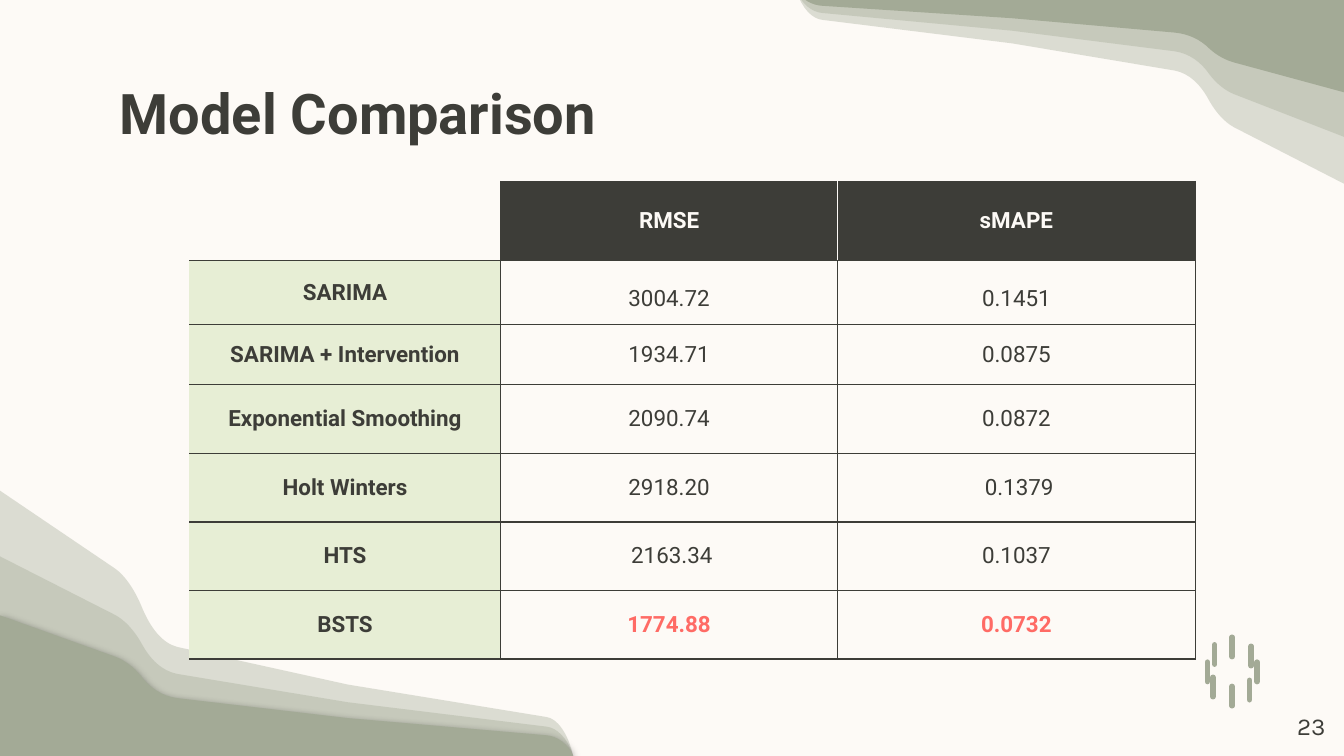
from dataclasses import dataclass
from lxml.etree import SubElement
from pptx import Presentation
from pptx.dml.color import RGBColor
from pptx.enum.shapes import MSO_CONNECTOR
from pptx.enum.text import MSO_ANCHOR, PP_ALIGN
from pptx.oxml.ns import qn
from pptx.util import Inches, Pt

DARK, CREAM, SAGE, MINT, CORAL = "3D3D38", "FDFAF6", "A3AA96", "E7EED5", "FF6B65"
WIDTH, HEIGHT = Inches(10), Inches(5.625)
NO_STYLE = "{2D5ABB26-0587-4C30-8999-92F81FD0307C}"


@dataclass
class Wave:
    edge: float
    width: float
    base: float
    height: float
    alpha: int = 100
    shadow: bool = False


@dataclass
class Dash:
    x: float
    top: float


PROFILE_START = (0, 100)
PROFILE = [
    [(20.1, 70.6)],
    [(21.8, 68), (23.4, 62.9), (24.6, 56.9)],
    [(26.2, 48.2), (28.3, 42.6), (30.9, 41.1)],
    [(60.7, 26.9)],
    [(95.3, 14.7)],
    [(97.2, 14.2), (99.1, 8.6), (100, 0)],
    [(0, 0)],
]
WAVES = [
    Wave(0, 42.65, 100, 35.1, alpha=37),
    Wave(0, 42.65, 100, 26.4, alpha=37),
    Wave(0, 42.65, 100, 18.6, shadow=True),
    Wave(100, -40.7, -1.1, -25.4, alpha=37),
    Wave(100, -40.7, -1.1, -19.2, alpha=37),
    Wave(100, -40.7, -1.2, -13.4),
]
DASH_LENGTH = 2.56
DASHES = [
    Dash(91.67, 84.3), Dash(91.67, 90.8), Dash(93.54, 87.6), Dash(89.84, 87.6),
    Dash(90.25, 89.6), Dash(93.1, 85.5), Dash(90.38, 85.3), Dash(92.97, 90),
]
COLUMNS = [23.15, 25.08, 26.6]
ROWS = [10.5, 8.47, 7.95] + [9.07] * 4
RESULTS = [
    ("", "RMSE", "sMAPE"),
    ("SARIMA", "3004.72", "0.1451"),
    ("SARIMA + Intervention", "1934.71", "0.0875"),
    ("Exponential Smoothing", "2090.74", "0.0872"),
    ("Holt Winters", "2918.20", " 0.1379"),
    ("HTS", " 2163.34", "0.1037"),
    ("BSTS", "1774.88", "0.0732"),
]


def px(share: float) -> int:
    return round(WIDTH * share / 100)


def py(share: float) -> int:
    return round(HEIGHT * share / 100)


def rgb(color: str) -> RGBColor:
    return RGBColor.from_string(color)


def write(tf, text: str, *, size: float, color: str = DARK, font: str = "Roboto",
          bold: bool = False, align=PP_ALIGN.LEFT, spacing: float = 1.0) -> None:
    p = tf.paragraphs[0]
    p.alignment = align
    p.line_spacing = spacing
    r = p.add_run()
    r.text = text
    r.font.name, r.font.size, r.font.bold = font, Pt(size), bold
    r.font.color.rgb = rgb(color)


def place(sp, left: float, top: float, width: float, height: float, anchor) -> None:
    sp.left, sp.top, sp.width, sp.height = px(left), py(top), px(width), py(height)
    tf = sp.text_frame
    tf.word_wrap, tf.vertical_anchor = True, anchor
    tf.margin_left = tf.margin_right = tf.margin_top = tf.margin_bottom = Inches(0.1)


def bend_curves(sp) -> None:
    lines = iter(list(sp._element.iter(qn("a:lnTo"))))
    for segment in PROFILE:
        steps = [next(lines) for _ in segment]
        if len(steps) == 3:
            curve = steps[0].makeelement(qn("a:cubicBezTo"))
            steps[0].addprevious(curve)
            for step in steps:
                curve.append(step[0])
                step.getparent().remove(step)


def draw_wave(s, wave: Wave) -> None:
    points = [PROFILE_START] + [point for segment in PROFILE for point in segment]
    pts = [(px(wave.edge + wave.width * x / 100), py(wave.base - wave.height * y / 100))
           for x, y in points]
    builder = s.shapes.build_freeform(*pts[0], scale=1.0)
    builder.add_line_segments(pts[1:], close=True)
    sp = builder.convert_to_shape()
    bend_curves(sp)
    sp.fill.solid()
    sp.fill.fore_color.rgb = rgb(SAGE)
    sp.line.fill.background()
    sp.shadow.inherit = False
    spPr = sp._element.spPr
    if wave.alpha < 100:
        clr = spPr.find(qn("a:solidFill")).find(qn("a:srgbClr"))
        SubElement(clr, qn("a:alpha"), val=str(wave.alpha * 1000))
    if wave.shadow:
        shadow = SubElement(spPr.find(qn("a:effectLst")), qn("a:outerShdw"),
                            blurRad=str(Pt(4.5)), dist=str(Pt(1.5)), dir="5400000",
                            algn="bl", rotWithShape="0")
        clr = SubElement(shadow, qn("a:srgbClr"), val="000000")
        SubElement(clr, qn("a:alpha"), val="50000")


def draw_dash(s, dash: Dash) -> None:
    sp = s.shapes.add_connector(MSO_CONNECTOR.STRAIGHT, px(dash.x), py(dash.top),
                                px(dash.x), py(dash.top + DASH_LENGTH))
    sp.line.width = Pt(3)
    sp.line.color.rgb = rgb(SAGE)
    spPr = sp._element.spPr
    spPr.find(qn("a:ln")).set("cap", "rnd")
    SubElement(spPr, qn("a:effectLst"))


def border(cell, side: str, color: str) -> None:
    ln = SubElement(cell._tc.get_or_add_tcPr(), qn(f"a:ln{side}"), w=str(Pt(0.75)))
    SubElement(SubElement(ln, qn("a:solidFill")), qn("a:srgbClr"), val=color)


def format_cell(cell, row: int, col: int, text: str) -> None:
    header, label = row == 0, col == 0
    best = row == len(RESULTS) - 1 and not label
    sides = "RB" if header and label else "RTB" if label else "LRTB"
    for side in sides:
        divider = header and (col, side) in ((1, "R"), (2, "L"))
        border(cell, side, CREAM if divider else DARK)
    if label and not header:
        cell.fill.solid()
        cell.fill.fore_color.rgb = rgb(MINT)
    elif header and not label:
        cell.fill.solid()
        cell.fill.fore_color.rgb = rgb(DARK)
    else:
        cell.fill.background()
    cell.vertical_anchor = MSO_ANCHOR.MIDDLE
    cell.margin_left = cell.margin_right = Inches(0.1 if header or label else 0)
    cell.margin_top = cell.margin_bottom = Inches(0.07 if header else 0)
    if text:
        write(cell.text_frame, text, size=12, bold=header or label or best,
              color=CREAM if header else CORAL if best else DARK,
              align=PP_ALIGN.CENTER, spacing=1.45 if row == 1 and not label else 1.0)


def draw_results(s) -> None:
    frame = s.shapes.add_table(len(ROWS), len(COLUMNS), px(14.1), py(24),
                               px(sum(COLUMNS)), py(sum(ROWS)))
    table = frame.table
    table.first_row = table.horz_banding = False
    table._tbl.tblPr.find(qn("a:tableStyleId")).text = NO_STYLE
    for column, share in zip(table.columns, COLUMNS):
        column.width = px(share)
    for row, share in zip(table.rows, ROWS):
        row.height = py(share)
    for i, values in enumerate(RESULTS):
        for j, text in enumerate(values):
            format_cell(table.cell(i, j), i, j, text)


def main() -> None:
    prs = Presentation()
    prs.slide_width, prs.slide_height = WIDTH, HEIGHT
    s = prs.slides.add_slide(prs.slide_layouts[5])
    s.background.fill.solid()
    s.background.fill.fore_color.rgb = rgb(CREAM)
    for wave in WAVES:
        draw_wave(s, wave)
    for dash in DASHES:
        draw_dash(s, dash)
    number = s.shapes.add_textbox(0, 0, 0, 0)
    place(number, 93.6, 92.2, 6, 7.65, MSO_ANCHOR.MIDDLE)
    write(number.text_frame, "23", size=13, font="Karla", align=PP_ALIGN.RIGHT)
    title = s.shapes.title
    place(title, 7.9, 8.6, 84.3, 11.2, MSO_ANCHOR.TOP)
    write(title.text_frame, "Model Comparison", size=30, bold=True)
    draw_results(s)
    prs.save("out.pptx")


if __name__ == "__main__":
    main()
